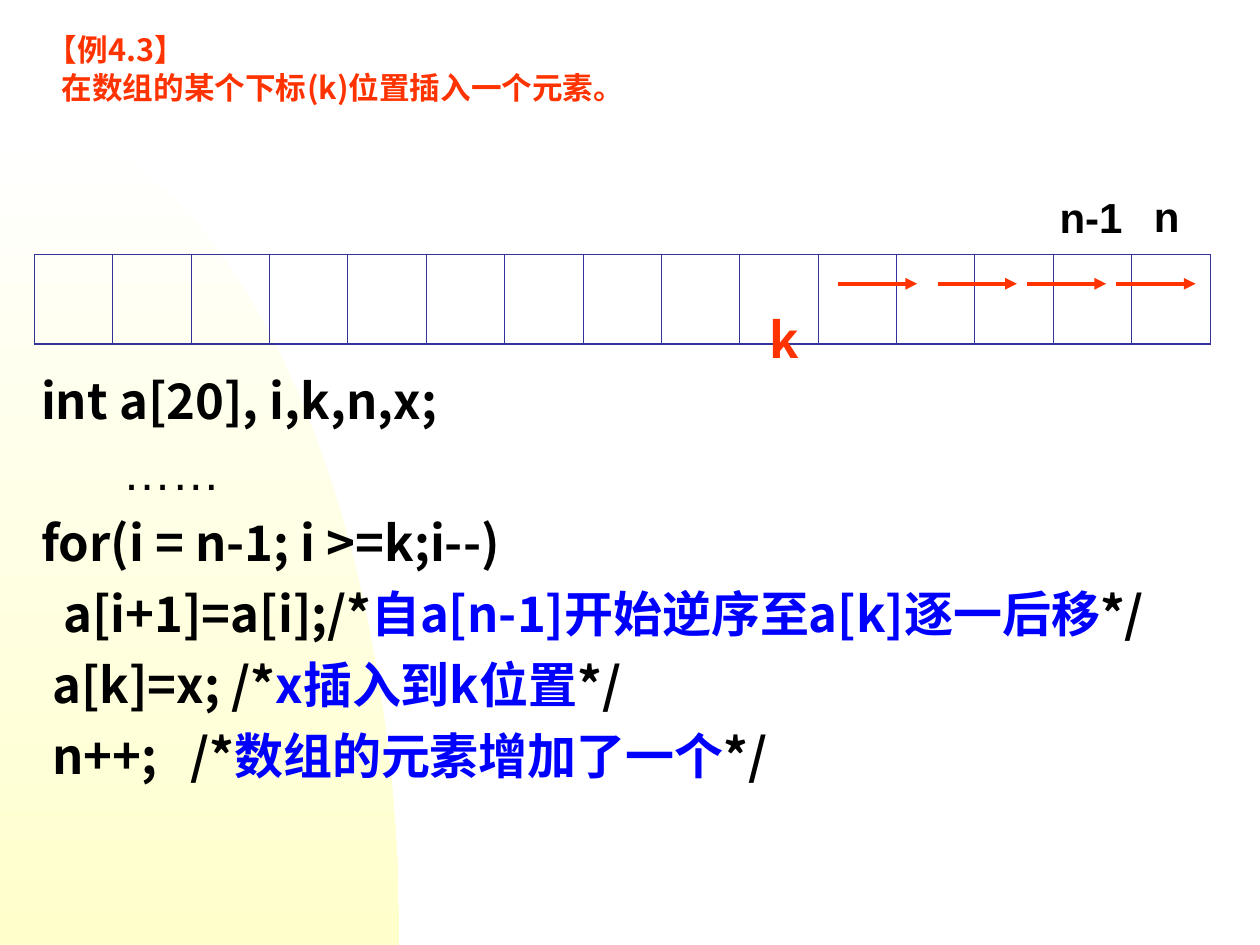
from math import cos, pi, sin

from lxml import etree
from pptx import Presentation
from pptx.dml.color import RGBColor
from pptx.enum.shapes import MSO_CONNECTOR
from pptx.enum.text import MSO_ANCHOR, MSO_AUTO_SIZE, PP_ALIGN
from pptx.oxml.ns import qn
from pptx.util import Cm, Pt

STRAIGHT = MSO_CONNECTOR.STRAIGHT
TOP = MSO_ANCHOR.TOP
LEFT = PP_ALIGN.LEFT
NO_FIT = MSO_AUTO_SIZE.NONE

CJK, LATIN = "Noto Sans CJK SC", "Arial"
RED, BLACK, BLUE, NAVY = "FF3300", "010000", "0000FF", "333399"

HEADING = [
    [("【例4.3】", RED)],
    [("在数组的某个下标(k)位置插入一个元素。", RED)],
]
CODE = [
    [("int a[20], i,k,n,x;", BLACK)],
    [("      ……", BLACK)],
    [("for(i = n-1; i >=k;i--)", BLACK)],
    [("  a[i+1]=a[i];/*", BLACK), ("自a[n-1]开始逆序至a[k]逐一后移", BLUE), ("*/", BLACK)],
    [(" a[k]=x; /*", BLACK), ("x插入到k位置", BLUE), ("*/", BLACK)],
    [(" n++;   /*", BLACK), ("数组的元素增加了一个", BLUE), ("*/", BLACK)],
]
LABELS = [
    ("k", RED, CJK, 28, (15.27, 6.12, 1.12, 1.45)),
    ("n-1", BLACK, LATIN, 24, (21.11, 3.73, 1.78, 1.27)),
    ("n", BLACK, LATIN, 24, (23.01, 3.71, 1.02, 1.27)),
]
CELLS = 15
ARRAY = (0.69, 5.13, 23.7, 1.8)
BORDERS = {"a:lnL": 0.45, "a:lnR": 0.45, "a:lnT": 1.08, "a:lnB": 1.08}
ARROW_STARTS = [16.89, 18.9, 20.7, 22.5]
ARROW_TOP, ARROW_LENGTH = 5.72, 1.6
ARC_TOP, ARC_WIDTH, ARC_HEIGHT, ARC_STEPS = 2.34, 8.05, 16.71, 60


def color(value):
    """Turn a hex string into a colour."""
    return RGBColor.from_string(value)


def place(shape, frame):
    """Set left, top, width and height in centimetres."""
    shape.left, shape.top, shape.width, shape.height = map(Cm, frame)


def write(box, lines, font, size, line_height=None):
    """Fill a box with coloured lines of bold text."""
    frame = box.text_frame
    frame.vertical_anchor = TOP
    frame.auto_size = NO_FIT
    for number, spans in enumerate(lines):
        para = frame.add_paragraph() if number else frame.paragraphs[0]
        para.alignment = LEFT
        para.space_before = Pt(7 if number else 0)
        if line_height:
            para.line_spacing = Pt(line_height)
        para.font.size = Pt(size)
        for text, shade in spans:
            dots = "……" in text
            span = para.add_run()
            span.text = text
            span.font.size = Pt(size)
            span.font.bold = not dots
            span.font.color.rgb = color(shade)
            span.font.name = LATIN if dots else font
            east = etree.SubElement(span.font._element, qn("a:ea"))
            east.set("typeface", span.font.name)


def add_arc(slide):
    """Draw the shaded quarter ellipse behind everything."""
    angles = [step * pi / 2 / ARC_STEPS for step in range(ARC_STEPS + 1)]
    bottom = ARC_TOP + ARC_HEIGHT
    points = [(Cm(ARC_WIDTH * sin(a)), Cm(bottom - ARC_HEIGHT * cos(a))) for a in angles]
    builder = slide.shapes.build_freeform(*points[0])
    builder.add_line_segments(points[1:] + [(0, Cm(bottom))])
    arc = builder.convert_to_shape()
    arc.shadow.inherit = False
    arc.line.fill.background()
    arc.fill.gradient()
    arc.fill.gradient_angle = 270
    for stop, shade in zip(arc.fill.gradient_stops, ("FFFFFF", "FFFFCC")):
        stop.color.rgb = color(shade)
    slide.shapes.title.element.addprevious(arc.element)


def add_array(slide):
    """Draw the array as a one-row table."""
    table = slide.shapes.add_table(1, CELLS, *map(Cm, ARRAY)).table
    table.first_row = table.horz_banding = False
    for column in table.columns:
        column.width = Cm(ARRAY[2] / CELLS)
    for cell in table.iter_cells():
        cell.fill.background()
        properties = cell._tc.get_or_add_tcPr()
        for position, (tag, width) in enumerate(BORDERS.items()):
            border = etree.Element(qn(tag), w=str(Pt(width)))
            fill = etree.SubElement(border, qn("a:solidFill"))
            etree.SubElement(fill, qn("a:srgbClr"), val=NAVY)
            properties.insert(position, border)


def add_arrow(slide, start):
    """Draw one arrow that moves an element to the right."""
    ends = (start, ARROW_TOP, start + ARROW_LENGTH, ARROW_TOP)
    arrow = slide.shapes.add_connector(STRAIGHT, *map(Cm, ends))
    arrow.line.color.rgb = color(RED)
    arrow.line.width = Pt(2.25)
    etree.SubElement(arrow.line._get_or_add_ln(), qn("a:tailEnd"), type="triangle")
    etree.SubElement(arrow.element.spPr, qn("a:effectLst"))


def main():
    """Build the slide and save it."""
    deck = Presentation()
    deck.slide_width, deck.slide_height = Cm(25.4), Cm(19.05)
    slide = deck.slides.add_slide(deck.slide_layouts[5])

    title = slide.shapes.title
    place(title, (0.69, 0.71, 24, 2.21))
    write(title, HEADING, CJK, 17.5, 14.7)
    indent = title.text_frame.paragraphs[1]._p.get_or_add_pPr()
    indent.set("marL", str(Cm(0.3)))
    add_arc(slide)

    code = slide.shapes.add_textbox(*map(Cm, (0.58, 7.34, 24.51, 9.8)))
    code.text_frame.word_wrap = True
    write(code, CODE, CJK, 28, 33.6)

    add_array(slide)
    for text, shade, font, size, frame in LABELS:
        label = slide.shapes.add_textbox(*map(Cm, frame))
        label.text_frame.word_wrap = False
        write(label, [[(text, shade)]], font, size, 33.6 if font == CJK else None)
    for start in ARROW_STARTS:
        add_arrow(slide, start)
    deck.save("out.pptx")


if __name__ == "__main__":
    main()
